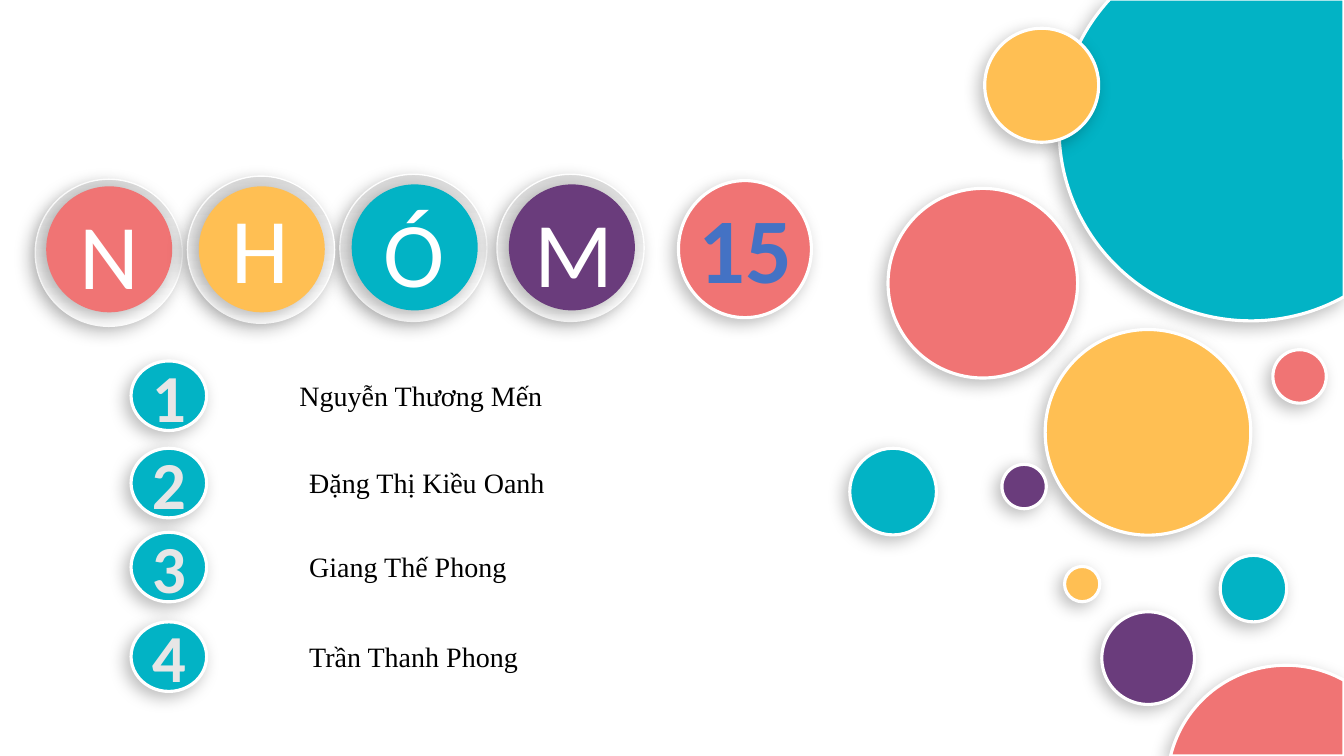
import math
import pptx
import pptx.util
import pptx.dml.color
import pptx.enum.shapes
import pptx.enum.text
import pptx.oxml
import pptx.oxml.ns

Pt = pptx.util.Pt
ALIGN = pptx.enum.text.PP_ALIGN
OVAL = pptx.enum.shapes.MSO_SHAPE.OVAL
NAMESPACE = 'xmlns:a="http://schemas.openxmlformats.org/drawingml/2006/main"'
COLOURS = {
    "teal": "02B3C5", "coral": "F07474", "amber": "FFBF53", "purple": "6A3C7C",
    "white": "FFFFFF", "silver": "D9D9D9", "pale": "E7E6E6", "blue": "4472C4",
    "black": "000000",
}
SHADOW = f"""<a:effectLst {NAMESPACE}>
  <a:outerShdw blurRad="{Pt(12)}" dist="{Pt(5)}" dir="8100000" algn="tr" rotWithShape="0">
    <a:srgbClr val="{COLOURS['black']}"><a:alpha val="26000"/></a:srgbClr>
  </a:outerShdw></a:effectLst>"""
TEXT_OUTLINE = f"""<a:ln {NAMESPACE} w="{Pt(0.75)}"><a:solidFill>
  <a:srgbClr val="{COLOURS['white']}"/></a:solidFill></a:ln>"""
WIDTH, HEIGHT = 960, 540


def rgb(name):
    """Return the named colour."""
    return pptx.dml.color.RGBColor.from_string(COLOURS[name])


class BubbleSlide:
    """Draws shadowed bubbles and text on one slide."""

    def __init__(self, page):
        """Keep the page that is drawn on."""
        self.page = page

    def finish(self, shape, fill, line=2.25):
        """Give a shape its fill, white outline and soft shadow."""
        if fill == "gradient":
            shape.fill.gradient()
            shape.fill.gradient_angle = 90
            for stop, name in zip(shape.fill.gradient_stops, ("white", "silver")):
                stop.color.rgb = rgb(name)
        else:
            shape.fill.solid()
            shape.fill.fore_color.rgb = rgb(fill)
        if line:
            shape.line.color.rgb = rgb("white")
            shape.line.width = Pt(line)
        else:
            shape.line.fill.background()
        shape.shadow.inherit = False
        properties = shape._element.spPr
        properties.replace(properties.effectLst, pptx.oxml.parse_xml(SHADOW))

    def bubble(self, left, top, width, fill, height=None, line=2.25, parent=None):
        """Add an ellipse, round unless a height is given."""
        shapes = (parent or self.page).shapes
        shape = shapes.add_shape(OVAL, Pt(left), Pt(top), Pt(width), Pt(height or width))
        self.finish(shape, fill, line)

    def cut_bubble(self, centre, radius, angles, corner, fill):
        """Add a circle through the angles, cut off at a slide corner."""
        turns = [math.radians(angle) for angle in angles]

        def spot(turn, handle=0):
            """Return a point on the rim, moved along its tangent."""
            return (Pt(centre[0] + radius * (math.cos(turn) - handle * math.sin(turn))),
                    Pt(centre[1] + radius * (math.sin(turn) + handle * math.cos(turn))))

        outline = self.page.shapes.build_freeform(*spot(turns[0]))
        rim = [spot(turn) for turn in turns[1:]]
        outline.add_line_segments(rim + [(Pt(corner[0]), Pt(corner[1]))], close=True)
        shape = outline.convert_to_shape()
        sides = list(shape._element.iter(pptx.oxml.ns.qn("a:lnTo")))
        for side, start, end in zip(sides, turns, turns[1:]):
            handle = 4 / 3 * math.tan((end - start) / 4)
            points = "".join(
                f'<a:pt x="{x - shape.left}" y="{y - shape.top}"/>'
                for x, y in (spot(start, handle), spot(end, -handle), spot(end)))
            curve = f"<a:cubicBezTo {NAMESPACE}>{points}</a:cubicBezTo>"
            side.getparent().replace(side, pptx.oxml.parse_xml(curve))
        self.finish(shape, fill)

    def text(self, words, left, top, width, height, size, colour, font="Calibri",
             bold=False, align=None, wrap=True, outlined=False, parent=None):
        """Add a text box of one run."""
        shapes = (parent or self.page).shapes
        box = shapes.add_textbox(Pt(left), Pt(top), Pt(width), Pt(height))
        frame = box.text_frame
        frame.word_wrap = wrap
        frame.auto_size = pptx.enum.text.MSO_AUTO_SIZE.SHAPE_TO_FIT_TEXT
        para = frame.paragraphs[0]
        para.alignment = align
        span = para.add_run()
        span.text = words
        span.font.name, span.font.size, span.font.bold = font, Pt(size), bold
        span.font.color.rgb = rgb(colour)
        if outlined:
            span._r.get_or_add_rPr().insert(0, pptx.oxml.parse_xml(TEXT_OUTLINE))

    def letter(self, words, fill, ring, disc, label, grouped=True):
        """Add a letter on a disc in a gradient ring."""
        parent = self.page.shapes.add_group_shape() if grouped else None
        self.bubble(*ring, 105.1, "gradient", line=1, parent=parent)
        self.bubble(*disc, 90, fill, line=0, parent=parent)
        self.text(words, *label, 55.4, 87.1, 66, "white", parent=parent)

    def member(self, number, name, top, name_left):
        """Add a numbered bubble and the member's name."""
        self.bubble(93.6, top, 54, "teal", height=49.7)
        self.text(str(number), 99.4, top - 7.9, 42.5, 65.5, 48, "pale",
                  bold=True, align=ALIGN.CENTER)
        self.text(name, name_left, top + 9.1, 401.4 - name_left, 31.7, 20, "black",
                  font="Times New Roman", align=ALIGN.JUSTIFY)


deck = pptx.Presentation()
deck.slide_width, deck.slide_height = Pt(WIDTH), Pt(HEIGHT)
slide = BubbleSlide(deck.slides.add_slide(deck.slide_layouts[6]))

slide.bubble(746.6, 235.4, 146.9, "amber")
slide.cut_bubble((893.5, 92.2), 137, (60.9, 90, 180, 222.7), (WIDTH, -0.7), "teal")
slide.bubble(634.3, 134.6, 135.4, "coral")
slide.bubble(787, 437, 66.2, "purple")
slide.bubble(871.6, 396.7, 47.5, "teal")
slide.cut_bubble((918.7, 560.2), 85, (193.7, 270, 299.1), (WIDTH, HEIGHT), "coral")
for bubble in [
    (703.4, 20.2, 81.4, "amber"),
    (909.2, 249.8, 38.2, "coral"),
    (760.4, 404.6, 25.2, "amber"),
    (607, 320.2, 61.9, "teal"),
    (715.7, 331.7, 31.7, "purple"),
]:
    slide.bubble(*bubble)

slide.letter("Ó", "teal", (242.8, 124.5), (251.2, 131.7), (267.1, 136.1))
slide.letter("M", "purple", (355, 124.5), (363.5, 131.7), (374.4, 136.1))
slide.bubble(484.6, 129, 95, "coral", height=97.9)
slide.text("15", 491.6, 133.2, 81.4, 87.1, 66, "blue", bold=True,
           align=ALIGN.CENTER, wrap=False, outlined=True)
slide.letter("N", "coral", (25.2, 128), (33, 133.1), (49.7, 137.5), grouped=False)
slide.letter("H", "amber", (133.9, 125.8), (142, 133.1), (158.4, 133.2))

members = [
    ("Nguyễn Thương Mến", 257.8, 206.8),
    ("Đặng Thị Kiều Oanh", 320.2, 213.8),
    ("Giang Thế Phong", 380.2, 213.8),
    ("Trần Thanh Phong", 444.2, 213.8),
]
for number, member in enumerate(members, 1):
    slide.member(number, *member)

deck.save("out.pptx")
